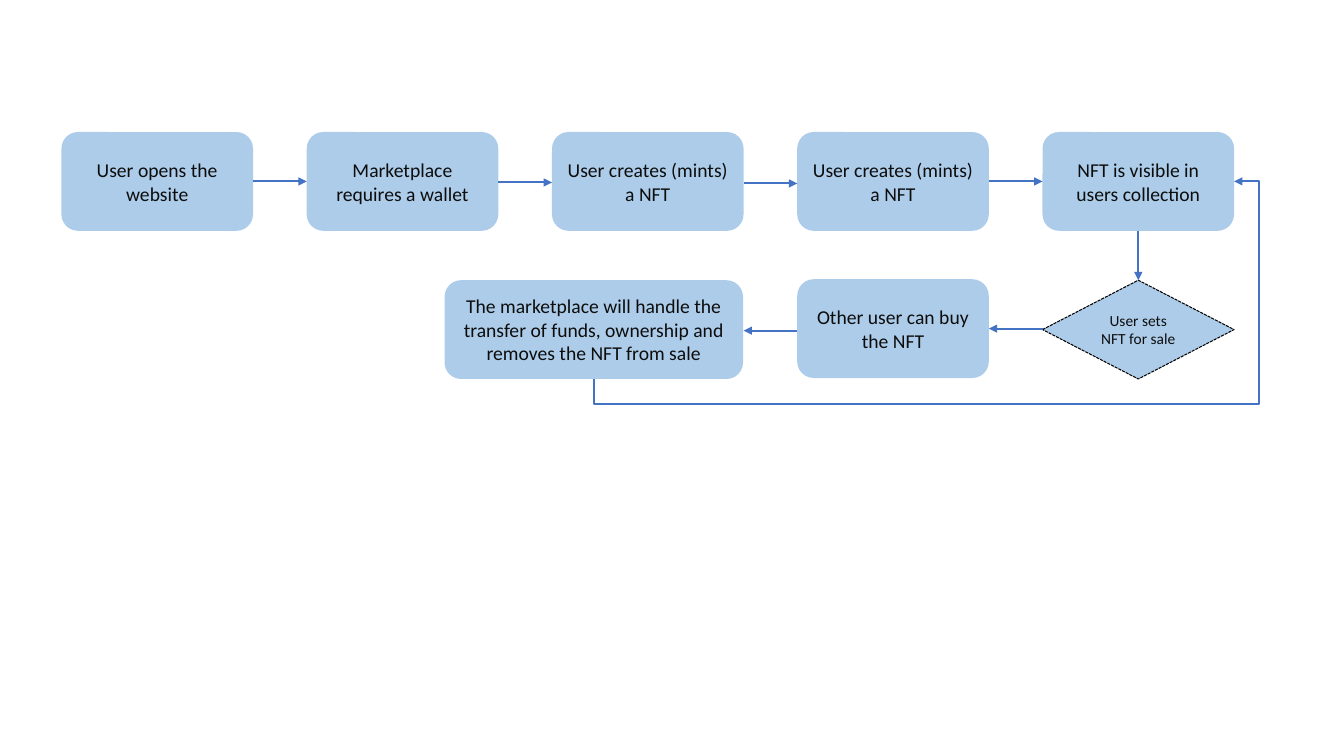
from lxml import etree
from pptx import Presentation
from pptx.dml.color import RGBColor
from pptx.enum.dml import MSO_LINE
from pptx.enum.shapes import MSO_CONNECTOR, MSO_SHAPE
from pptx.enum.text import MSO_ANCHOR, PP_ALIGN
from pptx.oxml.ns import qn
from pptx.util import Inches, Pt

ROUNDED = MSO_SHAPE.ROUNDED_RECTANGLE
DECISION = MSO_SHAPE.FLOWCHART_DECISION
STRAIGHT = MSO_CONNECTOR.STRAIGHT
ELBOW = MSO_CONNECTOR.ELBOW
SYS_DASH = MSO_LINE.SQUARE_DOT
MIDDLE = MSO_ANCHOR.MIDDLE
CENTER = PP_ALIGN.CENTER

STEP_FILL, TEXT_COLOR, ARROW_COLOR, BORDER = "5B9BD5", "0D0D0D", "4472C4", "000000"
LEFT, PITCH, STEP_W, STEP_H = 0.61, 2.4325, 1.9, 0.98
TOP_ROW, SALE_ROW = 1.31, 2.78
TOP_STEPS = [
    "User opens the website",
    "Marketplace requires a wallet",
    "User creates (mints) a NFT",
    "User creates (mints) a NFT",
    "NFT is visible in users collection",
]
TOP_ARROW_Y = [1.8, 1.81, 1.82, 1.8]


def color(hex_value):
    """Turn a hex string into a colour."""
    return RGBColor.from_string(hex_value)


def column(index):
    """Return the left edge of a flow column."""
    return LEFT + PITCH * index


def write(shape, text, size=14, font="Calibri", fill=TEXT_COLOR):
    """Put centred text into a shape."""
    frame = shape.text_frame
    frame.word_wrap = True
    frame.vertical_anchor = MIDDLE
    paragraph = frame.paragraphs[0]
    paragraph.alignment = CENTER
    run = paragraph.add_run()
    run.text = text
    run.font.size = Pt(size)
    run.font.name = font
    run.font.color.rgb = color(fill)


def add_step(slide, text, left, top, width=STEP_W, kind=ROUNDED, size=14):
    """Add a half-transparent flow step and return it."""
    step = slide.shapes.add_shape(
        kind, Inches(left), Inches(top), Inches(width), Inches(STEP_H))
    step.shadow.inherit = False
    step.fill.solid()
    step.fill.fore_color.rgb = color(STEP_FILL)
    tint = step.fill._xPr.find(".//" + qn("a:srgbClr"))
    etree.SubElement(tint, qn("a:alpha"), val="50000")
    step.line.fill.background()
    write(step, text, size=size)
    return step


def add_arrow(slide, start, end, kind=STRAIGHT):
    """Add an arrow between two points and return it."""
    arrow = slide.shapes.add_connector(kind, *map(Inches, start + end))
    arrow.line.color.rgb = color(ARROW_COLOR)
    arrow.line.width = Pt(1.5)
    etree.SubElement(arrow.line._get_or_add_ln(), qn("a:tailEnd"), type="triangle")
    etree.SubElement(arrow._element.spPr, qn("a:effectLst"))
    return arrow


def add_return_arrow(slide, start, end, drop, overshoot):
    """Add an elbow arrow that leaves downwards and enters from the right."""
    span_x, span_y = end[0] - start[0], start[1] - end[1]
    middle_x, middle_y = (start[0] + end[0]) / 2, (start[1] + end[1]) / 2
    arrow = add_arrow(
        slide,
        (middle_x + span_y / 2, middle_y + span_x / 2),
        (middle_x - span_y / 2, middle_y - span_x / 2),
        ELBOW)
    properties = arrow._element.spPr
    properties.find(qn("a:xfrm")).set("rot", "5400000")
    geometry = properties.find(qn("a:prstGeom"))
    geometry.set("prst", "bentConnector4")
    guides = geometry.find(qn("a:avLst"))
    ratios = {"adj1": -drop / span_y, "adj2": 1 + overshoot / span_x}
    for name, ratio in ratios.items():
        etree.SubElement(guides, qn("a:gd"), name=name,
                         fmla=f"val {round(ratio * 100000)}")


def main():
    """Build the NFT marketplace flow."""
    deck = Presentation()
    deck.slide_width, deck.slide_height = Inches(13.33), Inches(7.5)
    slide = deck.slides.add_slide(deck.slide_layouts[6])

    for index, text in enumerate(TOP_STEPS):
        add_step(slide, text, column(index), TOP_ROW)
    sale = add_step(slide, "User sets NFT for sale", column(4), SALE_ROW,
                    kind=DECISION, size=11)
    sale.line.color.rgb = color(BORDER)
    sale.line.width = Pt(0.75)
    sale.line.dash_style = SYS_DASH
    add_step(slide, "Other user can buy the NFT", column(3), 2.77)
    add_step(slide, "The marketplace will handle the transfer of funds, "
             "ownership and removes the NFT from sale", 4.41, SALE_ROW, width=2.96)

    for index, y in enumerate(TOP_ARROW_Y):
        add_arrow(slide, (column(index) + STEP_W, y), (column(index + 1), y))
    add_arrow(slide, (11.29, TOP_ROW + STEP_H), (11.29, SALE_ROW))
    add_arrow(slide, (column(4), 3.26), (column(3) + STEP_W, 3.26))
    add_arrow(slide, (column(3), 3.28), (column(2) + STEP_W, 3.28))
    add_return_arrow(slide, (5.89, SALE_ROW + STEP_H), (column(4) + STEP_W, 1.8),
                     drop=0.25, overshoot=0.25)
    deck.save("out.pptx")


if __name__ == "__main__":
    main()
